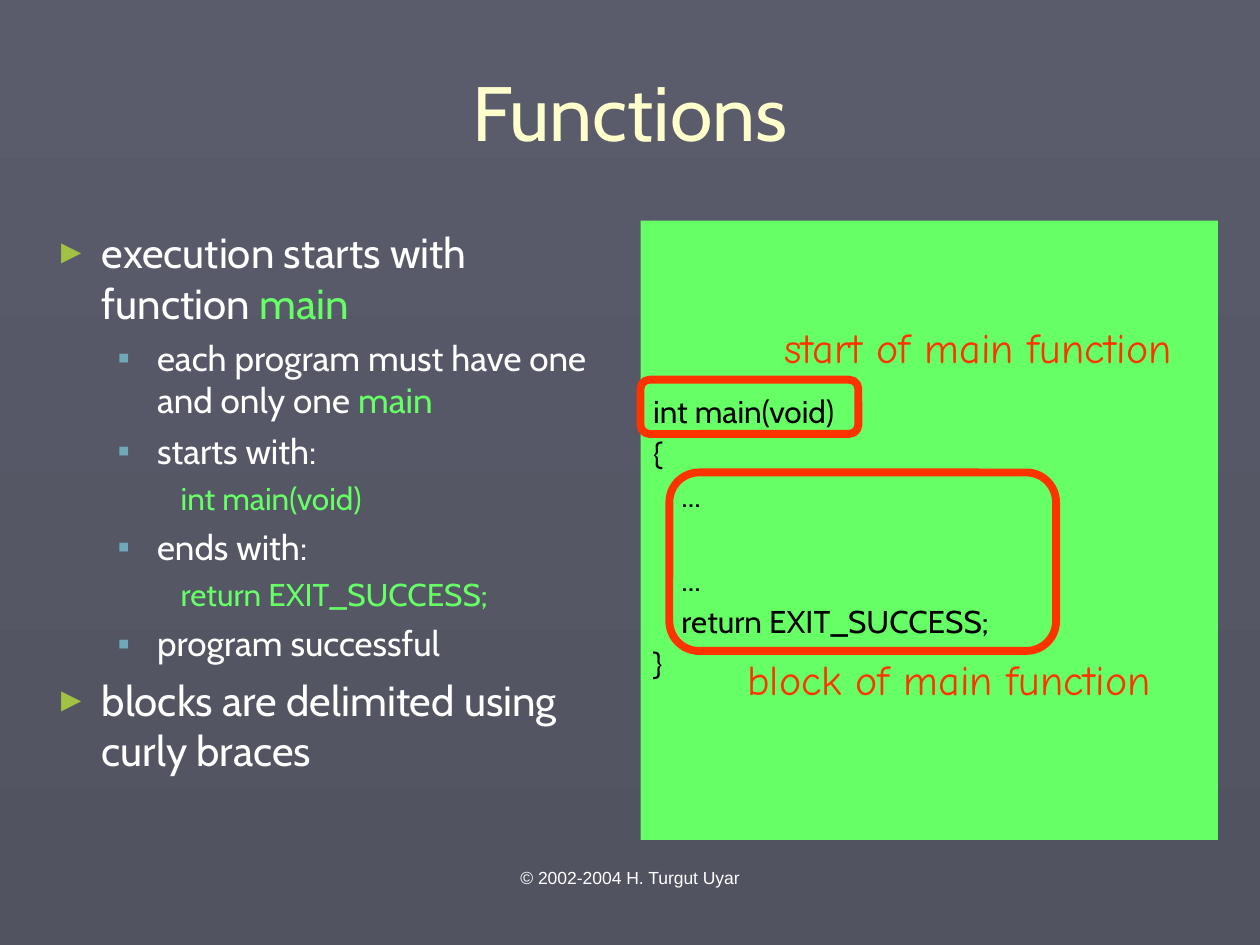
import dataclasses

import pptx
import pptx.dml.color
import pptx.enum.shapes
import pptx.enum.text
import pptx.oxml
import pptx.oxml.ns
import pptx.util

Pt = pptx.util.Pt
Align = pptx.enum.text.PP_ALIGN
Anchor = pptx.enum.text.MSO_ANCHOR


@dataclasses.dataclass(frozen=True)
class Theme:
    background_top: str = "5A5C6C"
    background_bottom: str = "515361"
    title: str = "FFFFCC"
    text: str = "FFFFFF"
    accent: str = "66FF66"
    code: str = "000000"
    callout: str = "FF3300"
    bullet: str = "A3C145"
    sub_bullet: str = "6FA9B7"
    font: str = "Cabin"
    callout_font: str = "Comic Neue"
    footer_font: str = "Arial"
    title_size: int = 44
    large: int = 24
    medium: int = 20
    small: int = 18
    footer_size: int = 10


THEME = Theme()

LEVELS = [
    dict(size=THEME.large, margin=27, indent=-27, before=6,
         bullet="►", bullet_color=THEME.bullet, bullet_size=80),
    dict(size=THEME.medium, margin=58.5, indent=-22.5, before=5,
         bullet="▪", bullet_color=THEME.sub_bullet),
    dict(size=THEME.small, margin=90, indent=-18, before=4.5, color=THEME.accent),
]

POINTS = [
    (0, ["execution starts with function ", ("main", THEME.accent)]),
    (1, ["each program must have one and only one ", ("main", THEME.accent)]),
    (1, ["starts with:"]),
    (2, ["int main(void)"]),
    (1, ["ends with:"]),
    (2, ["return EXIT_SUCCESS;"]),
    (1, ["program successful"]),
    (0, ["blocks are delimited using curly braces"]),
]

CODE_GAP = 4.5
CODE_LINE = 19.7
CODE = [
    ("int main(void)", 0),
    ("{", CODE_GAP),
    ("    ...", CODE_GAP),
    ("    ...", 2 * CODE_GAP + CODE_LINE),
    ("    return EXIT_SUCCESS;", CODE_GAP),
    ("}", CODE_GAP),
]


def rgb(value):
    return pptx.dml.color.RGBColor.from_string(value)


def add_bullet(properties, name, **attributes):
    element = pptx.oxml.parse_xml(f"<a:{name} {pptx.oxml.ns.nsdecls('a')}/>")
    for key, value in attributes.items():
        element.set(key, str(value))
    properties.append(element)
    return element


def write(frame, text, size, color=THEME.text, font=THEME.font, align=Align.LEFT,
          level=0, margin=0, indent=0, before=0, spacing=1.0,
          bullet=None, bullet_color=None, bullet_size=100):
    paragraph = frame.paragraphs[0]
    if paragraph.runs:
        paragraph = frame.add_paragraph()
    else:
        before = 0
    paragraph.level = level
    properties = paragraph._p.get_or_add_pPr()
    properties.set("marL", str(int(Pt(margin))))
    properties.set("indent", str(int(Pt(indent))))
    if bullet:
        tint = add_bullet(properties, "buClr")
        add_bullet(tint, "srgbClr", val=bullet_color)
        add_bullet(properties, "buSzPct", val=bullet_size * 1000)
        add_bullet(properties, "buChar", char=bullet)
    else:
        add_bullet(properties, "buNone")
    paragraph.alignment = align
    paragraph.line_spacing = spacing
    paragraph.space_before = Pt(before)
    paragraph.space_after = Pt(0)
    for part in [text] if isinstance(text, str) else text:
        words, run_color = (part, color) if isinstance(part, str) else part
        run = paragraph.add_run()
        run.text = words
        run.font.name = font
        run.font.size = Pt(size)
        run.font.color.rgb = rgb(run_color)


def place(shape, box):
    shape.left, shape.top, shape.width, shape.height = map(Pt, box)


def prepare(shape, anchor=Anchor.TOP, wrap=True):
    frame = shape.text_frame
    frame.word_wrap = wrap
    frame.auto_size = pptx.enum.text.MSO_AUTO_SIZE.NONE
    frame.vertical_anchor = anchor
    return frame


def paint_background(slide):
    fill = slide.background.fill
    fill.gradient()
    fill.gradient_angle = 270
    for stop, color in zip(fill.gradient_stops,
                           (THEME.background_top, THEME.background_bottom)):
        stop.color.rgb = rgb(color)
    fill.gradient_stops[0].position = 0
    fill.gradient_stops[1].position = 1


def build_title(shape, box):
    place(shape, box)
    write(prepare(shape, Anchor.MIDDLE), "Functions", size=THEME.title_size,
          color=THEME.title, align=Align.CENTER)


def build_points(shape, box):
    place(shape, box)
    frame = prepare(shape)
    for level, text in POINTS:
        write(frame, text, level=level, **LEVELS[level])


def build_code(shape, box):
    place(shape, box)
    shape.fill.solid()
    shape.fill.fore_color.rgb = rgb(THEME.accent)
    frame = prepare(shape)
    frame.margin_top = Pt(3.6 + 4 * (CODE_LINE + CODE_GAP))
    for line, before in CODE:
        write(frame, line, size=THEME.small, color=THEME.code,
              before=before, spacing=0.9)


def build_callout(slide, box, text, outline_box, label_box):
    left, top = box[:2]
    group = slide.shapes.add_group_shape()

    def offset(part):
        x, y, width, height = part
        return [Pt(value) for value in (left + x, top + y, width, height)]

    outline = group.shapes.add_shape(
        pptx.enum.shapes.MSO_SHAPE.ROUNDED_RECTANGLE, *offset(outline_box))
    outline.shadow.inherit = False
    outline.fill.background()
    outline.line.color.rgb = rgb(THEME.callout)
    outline.line.width = Pt(4.5)
    label = group.shapes.add_textbox(*offset(label_box))
    write(prepare(label, Anchor.MIDDLE, wrap=False), text, size=THEME.large,
          color=THEME.callout, font=THEME.callout_font, spacing=1.1)


def build_footer(slide, box):
    footer = slide.shapes.add_textbox(*map(Pt, box))
    write(prepare(footer), "© 2002-2004 H. Turgut Uyar", size=THEME.footer_size,
          font=THEME.footer_font, align=Align.CENTER)


def main():
    presentation = pptx.Presentation()
    presentation.slide_width, presentation.slide_height = Pt(720), Pt(540)
    slide = presentation.slides.add_slide(presentation.slide_layouts[3])
    title, points, code = slide.placeholders
    code_box = (366, 126, 330, 354)
    paint_background(slide)
    build_title(title, (24, 18, 672, 90))
    build_points(points, (24, 126, 330, 354))
    build_code(code, code_box)
    build_callout(slide, code_box, "start of main function",
                  (0, 91, 124.5, 31), (75, 51, 236, 39))
    build_callout(slide, code_box, "block of main function",
                  (16.5, 144, 221, 102), (54, 241, 245, 39))
    build_footer(slide, (246, 492, 228, 37.5))
    presentation.save("out.pptx")


if __name__ == "__main__":
    main()
